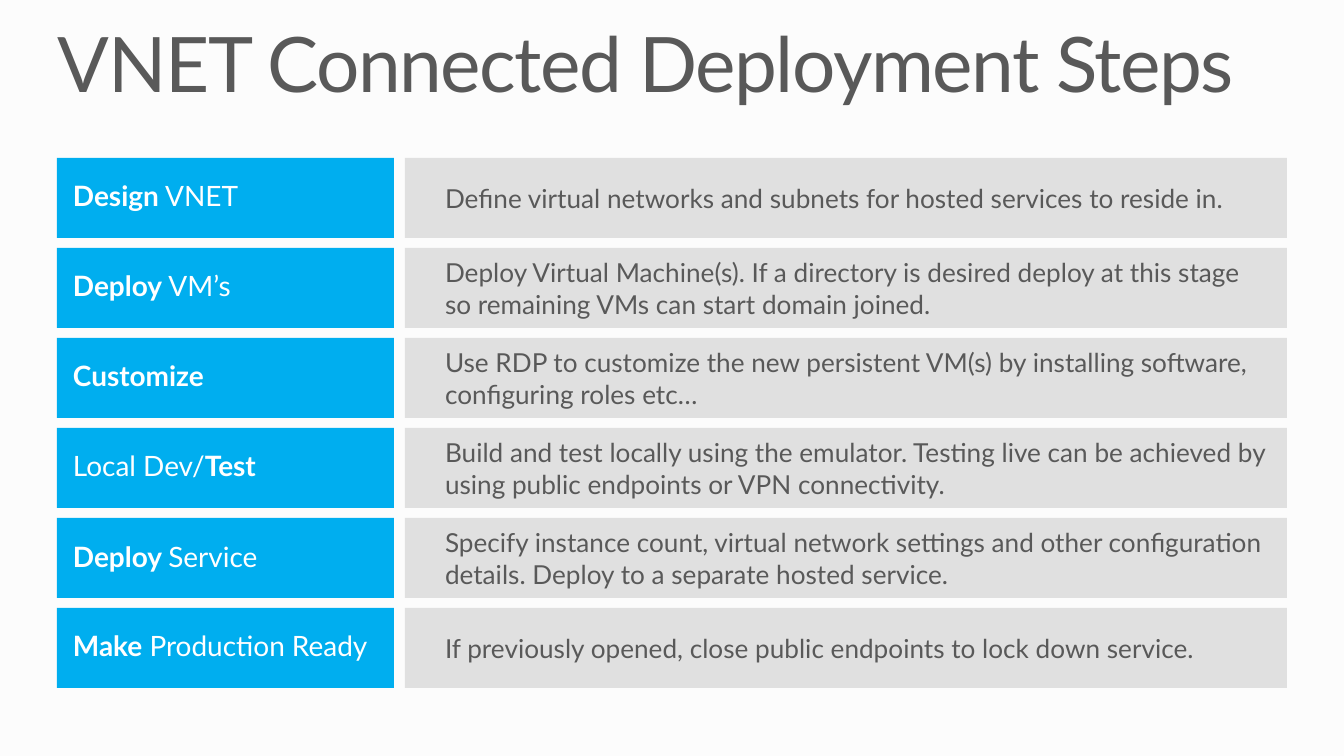
from lxml.etree import SubElement
from pptx import Presentation
from pptx.dml.color import RGBColor
from pptx.enum.shapes import MSO_SHAPE as Shape
from pptx.enum.text import MSO_ANCHOR as Anchor, PP_ALIGN as Align
from pptx.oxml.ns import qn
from pptx.util import Pt

PX = 914400 / 134.4
FONT = "Lato"
PAPER = RGBColor(0xFC, 0xFC, 0xFC)
BLUE = RGBColor(0x00, 0xAE, 0xEF)
GRAY = RGBColor(0xDD, 0xDD, 0xDD)
DARK = RGBColor(0x59, 0x59, 0x59)
WHITE = RGBColor(0xFF, 0xFF, 0xFF)

TITLE = "VNET Connected Deployment Steps"
# Each step: label as (text, bold) pieces, then its description
STEPS = [
    ([("Design", True), (" VNET", False)],
     "Define virtual networks and subnets for hosted services to reside in."),
    ([("Deploy", True), (" VM’s", False)],
     "Deploy Virtual Machine(s). If a directory is desired deploy at this stage \n"
     "so remaining VMs can start domain joined."),
    ([("Customize", True)],
     "Use RDP to customize the new persistent VM(s) by installing software, "
     "configuring roles etc…"),
    ([("Local Dev/", False), ("Test", True)],
     "Build and test locally using the emulator. Testing live can be achieved by "
     "using public endpoints or VPN connectivity."),
    ([("Deploy ", True), ("Service", False)],
     "Specify instance count, virtual network settings and other configuration "
     "details. Deploy to a separate hosted service."),
    ([("Make", True), (" Production Ready", False)],
     "If previously opened, close public endpoints to lock down service."),
]

ROW_TOP, ROW_HEIGHT, ROW_PITCH = 158, 80, 90
LABEL_LEFT, LABEL_WIDTH = 57, 337
DETAIL_LEFT, DETAIL_WIDTH = 405, 882


def px(*lengths):
    return [round(length * PX) for length in lengths]


def write(box, pieces, size, color, insets=(0, 0, 0, 0), anchor=Anchor.MIDDLE,
          line_spacing=None, before=None, tracking=None):
    """Fill box with one paragraph of (text, bold) pieces; a newline breaks the line."""
    frame = box.text_frame
    frame.word_wrap = True
    frame.vertical_anchor = anchor
    (frame.margin_left, frame.margin_top,
     frame.margin_right, frame.margin_bottom) = px(*insets)
    para = frame.paragraphs[0]
    para.alignment = Align.LEFT
    para.line_spacing = line_spacing
    para.space_before = before
    for text, bold in pieces:
        for index, line in enumerate(text.split("\n")):
            if index:
                para.add_line_break()
            span = para.add_run()
            span.text = line
            font = span.font
            font.name, font.size, font.bold = FONT, Pt(size), bold
            font.color.rgb = color
            if tracking:
                span.font._element.set("spc", str(tracking))


def add_bar(page, left, top, width, color, opacity=100):
    bar = page.shapes.add_shape(Shape.RECTANGLE, *px(left, top, width, ROW_HEIGHT))
    bar.shadow.inherit = False
    bar.line.fill.background()
    bar.fill.solid()
    bar.fill.fore_color.rgb = color
    if opacity < 100:
        tint = bar._element.spPr.find(qn("a:solidFill"))[0]
        SubElement(tint, qn("a:alpha"), val=str(opacity * 1000))
    return bar


def main():
    deck = Presentation()
    deck.slide_width, deck.slide_height = px(1344, 756)
    page = deck.slides.add_slide(deck.slide_layouts[6])
    page.background.fill.solid()
    page.background.fill.fore_color.rgb = PAPER

    title = page.shapes.add_textbox(*px(58, 26, 1230, 83))
    write(title, [(TITLE, False)], 41, DARK, anchor=Anchor.TOP,
          line_spacing=0.9, tracking=-80)

    for row, (label, detail) in enumerate(STEPS):
        top = ROW_TOP + row * ROW_PITCH
        label_bar = add_bar(page, LABEL_LEFT, top, LABEL_WIDTH, BLUE)
        write(label_bar, label, 15, WHITE, insets=(16, 11, 16, 11), line_spacing=0.9)
        detail_bar = add_bar(page, DETAIL_LEFT, top, DETAIL_WIDTH, GRAY, opacity=90)
        write(detail_bar, [(detail, False)], 14, DARK, insets=(40, 5, 11, 5),
              before=Pt(4.5))

    deck.save("out.pptx")


if __name__ == "__main__":
    main()
